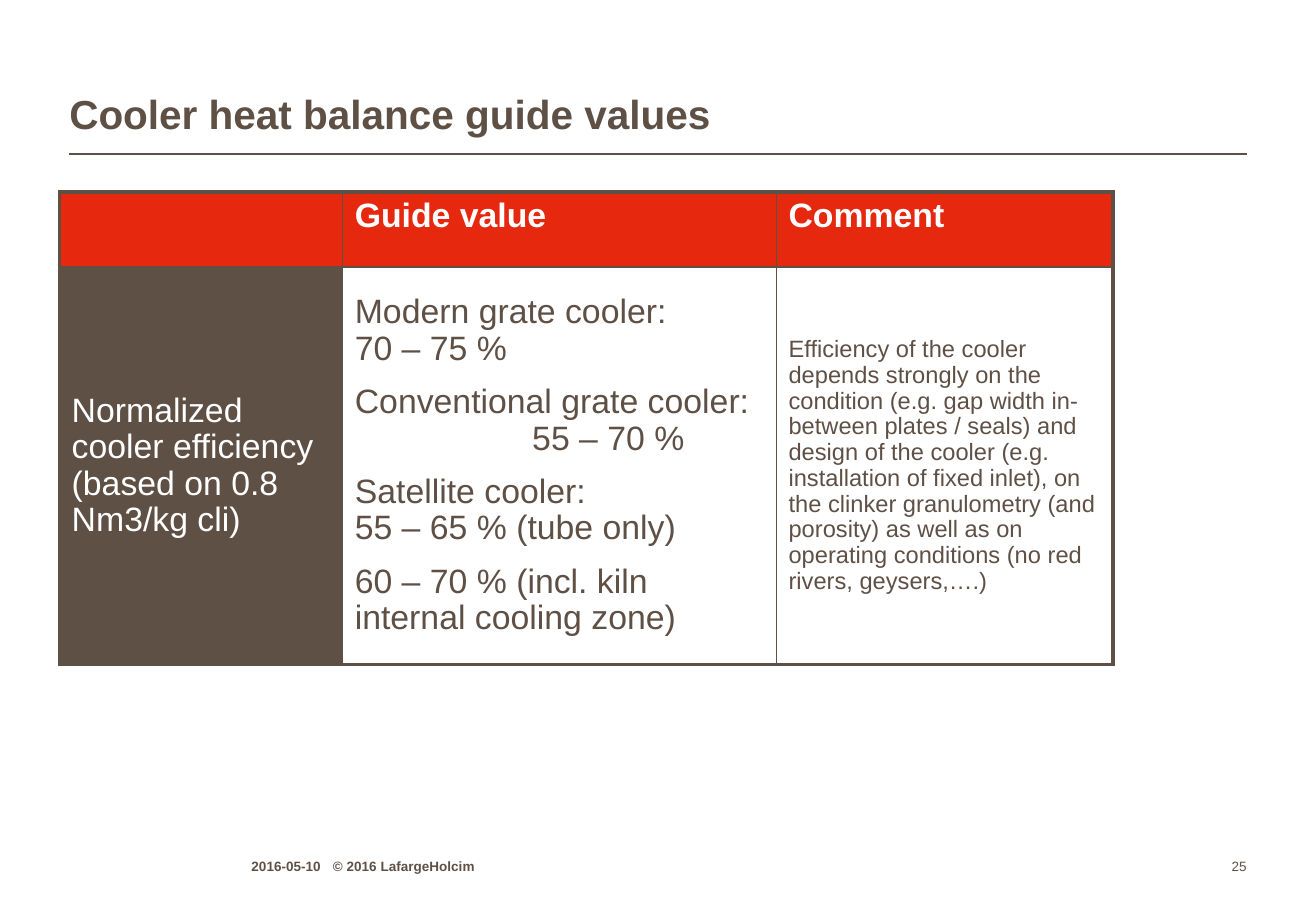
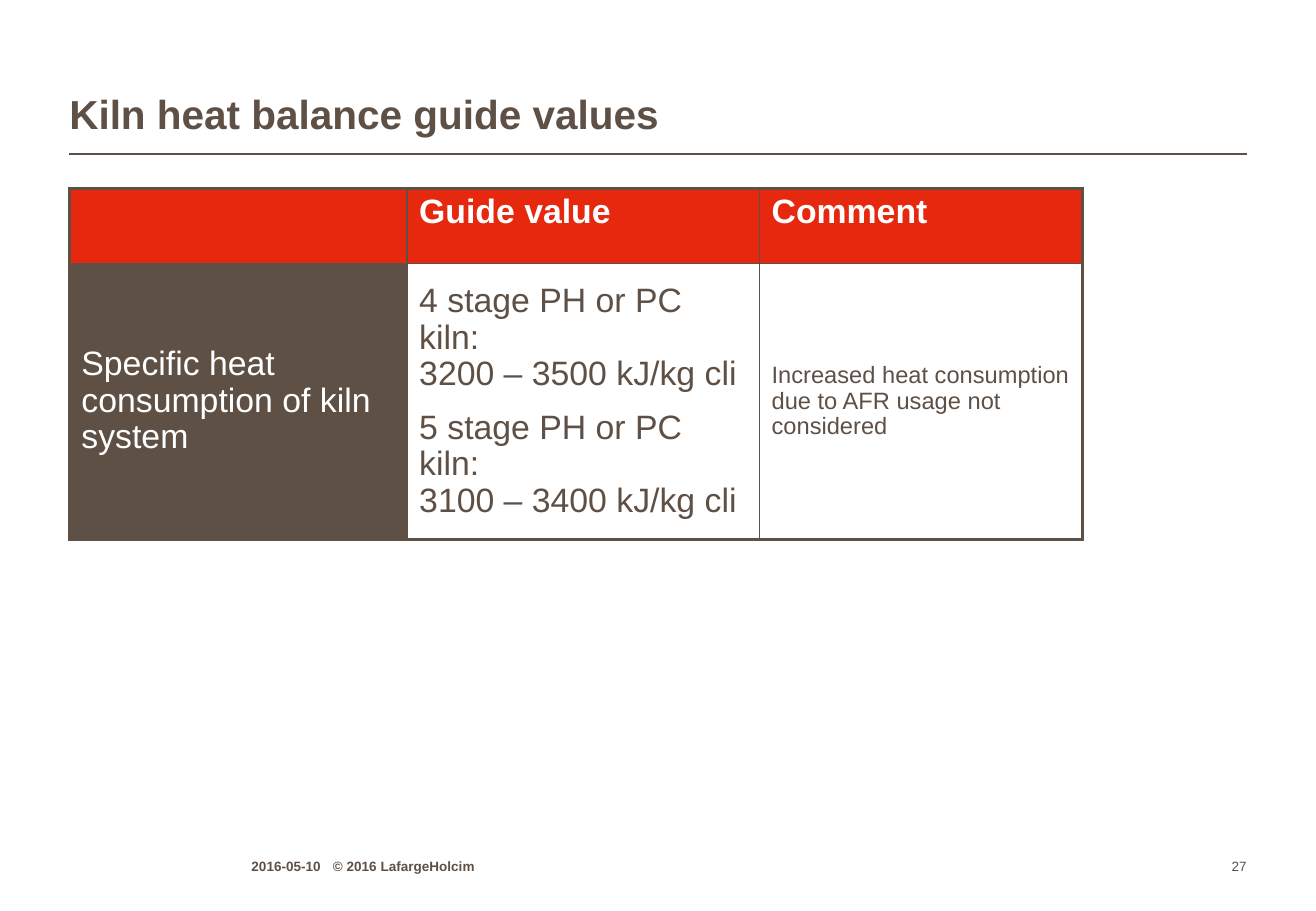
from lxml import etree
from pptx import Presentation
from pptx.dml.color import RGBColor
from pptx.enum.shapes import MSO_CONNECTOR
from pptx.enum.text import MSO_ANCHOR as ANCHOR, PP_ALIGN as ALIGN
from pptx.oxml.ns import qn
from pptx.util import Inches, Pt

BROWN = RGBColor(0x5F, 0x50, 0x46)
RED = RGBColor(0xE6, 0x28, 0x0F)
WHITE = RGBColor(0xFF, 0xFF, 0xFF)
LEFT, RIGHT = 0.57, 10.26
OUTER_LINE, INNER_LINE = 2.25, 1

HEADERS = ["", "Guide value", "Comment"]
HEADER_HEIGHT = 0.62
HEADER_STYLE = dict(size=Pt(20), bold=True, color=WHITE)
BODY_STYLES = [
    dict(size=Pt(20), bold=False, color=WHITE),
    dict(size=Pt(20), bold=False, color=BROWN),
    dict(size=Pt(14), bold=False, color=BROWN),
]
BODY_FILLS = [BROWN, WHITE, WHITE]

# "\v" breaks a line, "\t" moves to the tab stop of the paragraph
SLIDES = [
    dict(
        title="Cooler heat balance guide values", number="25",
        left=0.49, top=1.58, widths=[2.33, 3.57, 2.77], body_height=3.27,
        body=[
            ["Normalized cooler efficiency (based on 0.8 Nm3/kg cli)"],
            ["Modern grate cooler:\v70 – 75 %",
             "Conventional grate cooler:\v\t55 – 70 %",
             "Satellite cooler:\v55 – 65 % (tube only)",
             "60 – 70 % (incl. kiln internal cooling zone)"],
            ["Efficiency of the cooler depends strongly on the condition "
             "(e.g. gap width in-between plates / seals) and design of the "
             "cooler (e.g. installation of fixed inlet), on the clinker "
             "granulometry (and porosity) as well as on operating conditions "
             "(no red rivers, geysers,….)"],
        ],
    ),
    dict(
        title="Kiln heat balance guide values", number="27",
        left=0.57, top=1.55, widths=[2.78, 2.9, 2.66], body_height=2.27,
        body=[
            ["Specific heat consumption of kiln system"],
            ["4 stage PH or PC kiln:\v3200 – 3500 kJ/kg cli",
             "5 stage PH or PC kiln:\v3100 – 3400 kJ/kg cli"],
            ["Increased heat consumption due to AFR usage not considered"],
        ],
    ),
]
FOOTER = "2016-05-10\t© 2016 LafargeHolcim"


def write(frame, paragraphs, size, color, bold=False, align=ALIGN.LEFT,
          line_spacing=1.0, tab=None):
    """Fill a text frame; the tab stop is in inches from the text's left edge."""
    for index, text in enumerate(paragraphs):
        paragraph = frame.paragraphs[0] if index == 0 else frame.add_paragraph()
        paragraph.text = text
        paragraph.alignment = align
        paragraph.line_spacing = line_spacing
        if index:
            paragraph.space_before = Pt(10)
        if "\t" in text:
            tabs = etree.SubElement(paragraph._p.get_or_add_pPr(), qn("a:tabLst"))
            etree.SubElement(tabs, qn("a:tab"), pos=str(Inches(tab)), algn="l")
        for run in paragraph.runs:
            run.font.name = "Arial"
            run.font.size = size
            run.font.bold = bold
            run.font.color.rgb = color


def draw_borders(cell, widths):
    """Put the four lines before the fill, as the schema orders them."""
    properties = cell._tc.get_or_add_tcPr()
    for position, (side, width) in enumerate(widths.items()):
        line = etree.Element(qn(f"a:ln{side}"), w=str(Pt(width)))
        fill = etree.SubElement(line, qn("a:solidFill"))
        etree.SubElement(fill, qn("a:srgbClr"), val=str(BROWN))
        properties.insert(position, line)


prs = Presentation()
prs.slide_width, prs.slide_height = Inches(10.83), Inches(7.5)

for content in SLIDES:
    slide = prs.slides.add_slide(prs.slide_layouts[5])

    rule = slide.shapes.add_connector(
        MSO_CONNECTOR.STRAIGHT, Inches(LEFT), Inches(1.27), Inches(RIGHT), Inches(1.27))
    rule.line.color.rgb = BROWN
    rule.line.width = Pt(1)
    etree.SubElement(rule._element.spPr, qn("a:effectLst"))

    title = slide.shapes.title
    title.left, title.top = Inches(LEFT), Inches(0.21)
    title.width, title.height = Inches(RIGHT - LEFT), Inches(0.93)
    footer = slide.shapes.add_textbox(Inches(2.07), Inches(7.02), Inches(3.46), Inches(0.18))
    number = slide.shapes.add_textbox(Inches(9.79), Inches(7.02), Inches(0.47), Inches(0.18))
    for box in (title, footer, number):
        frame = box.text_frame
        frame.margin_left = frame.margin_right = frame.margin_top = frame.margin_bottom = 0
        frame.vertical_anchor = ANCHOR.BOTTOM
        frame.word_wrap = True
    write(title.text_frame, [content["title"]], Pt(24), BROWN, bold=True, line_spacing=0.95)
    write(footer.text_frame, [FOOTER], Pt(8), BROWN, bold=True, tab=0.67)
    write(number.text_frame, [content["number"]], Pt(8), BROWN, align=ALIGN.RIGHT)

    heights = [HEADER_HEIGHT, content["body_height"]]
    widths = content["widths"]
    table = slide.shapes.add_table(
        len(heights), len(widths), Inches(content["left"]), Inches(content["top"]),
        Inches(sum(widths)), Inches(sum(heights))).table
    table.horz_banding = False
    for row, height in zip(table.rows, heights):
        row.height = Inches(height)
    for c, width in enumerate(widths):
        table.columns[c].width = Inches(width)
        header, body = table.cell(0, c), table.cell(1, c)
        write(header.text_frame, [HEADERS[c]], line_spacing=0.97, **HEADER_STYLE)
        write(body.text_frame, content["body"][c], line_spacing=0.97, tab=1.46,
              **BODY_STYLES[c])
        body.vertical_anchor = ANCHOR.MIDDLE
        for r, (cell, color) in enumerate([(header, RED), (body, BODY_FILLS[c])]):
            cell.fill.solid()
            cell.fill.fore_color.rgb = color
            at_edge = dict(L=c == 0, R=c == len(widths) - 1, T=r == 0, B=r == 1)
            draw_borders(cell, {side: OUTER_LINE if edge else INNER_LINE
                                for side, edge in at_edge.items()})

prs.save("out.pptx")
